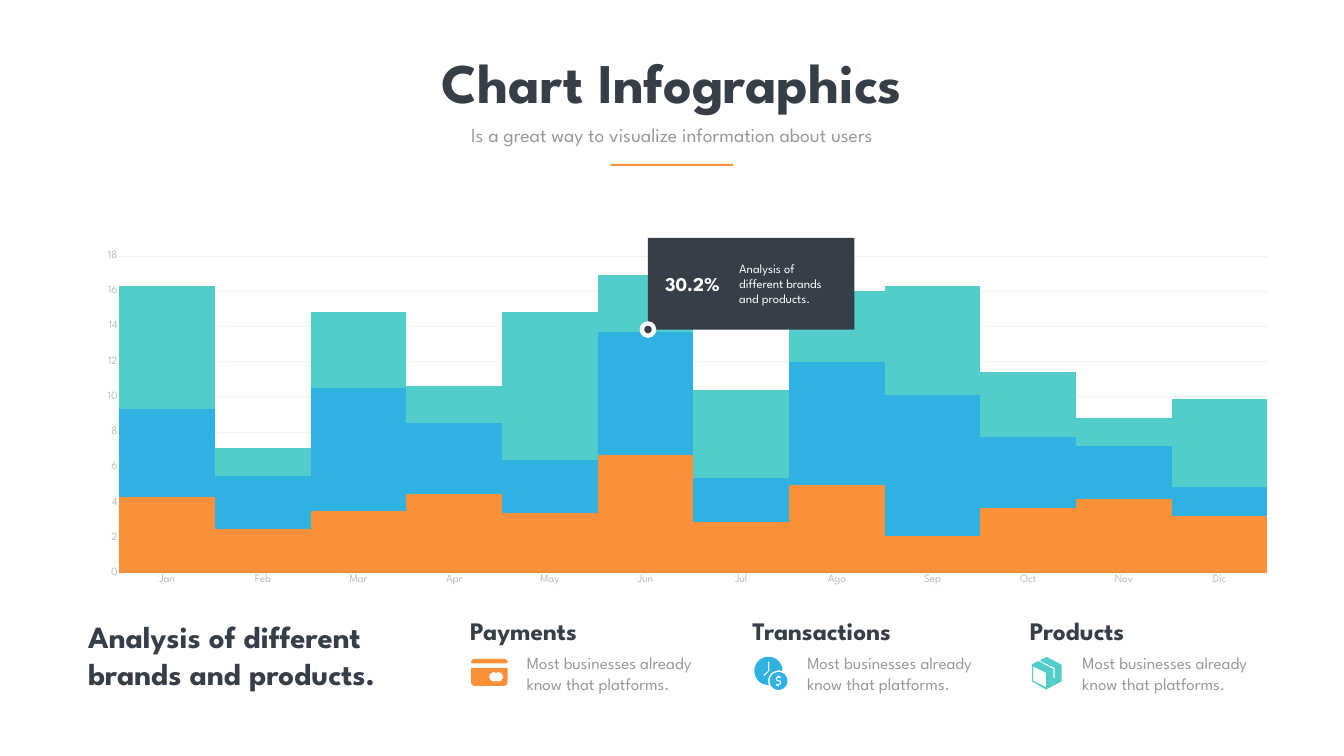
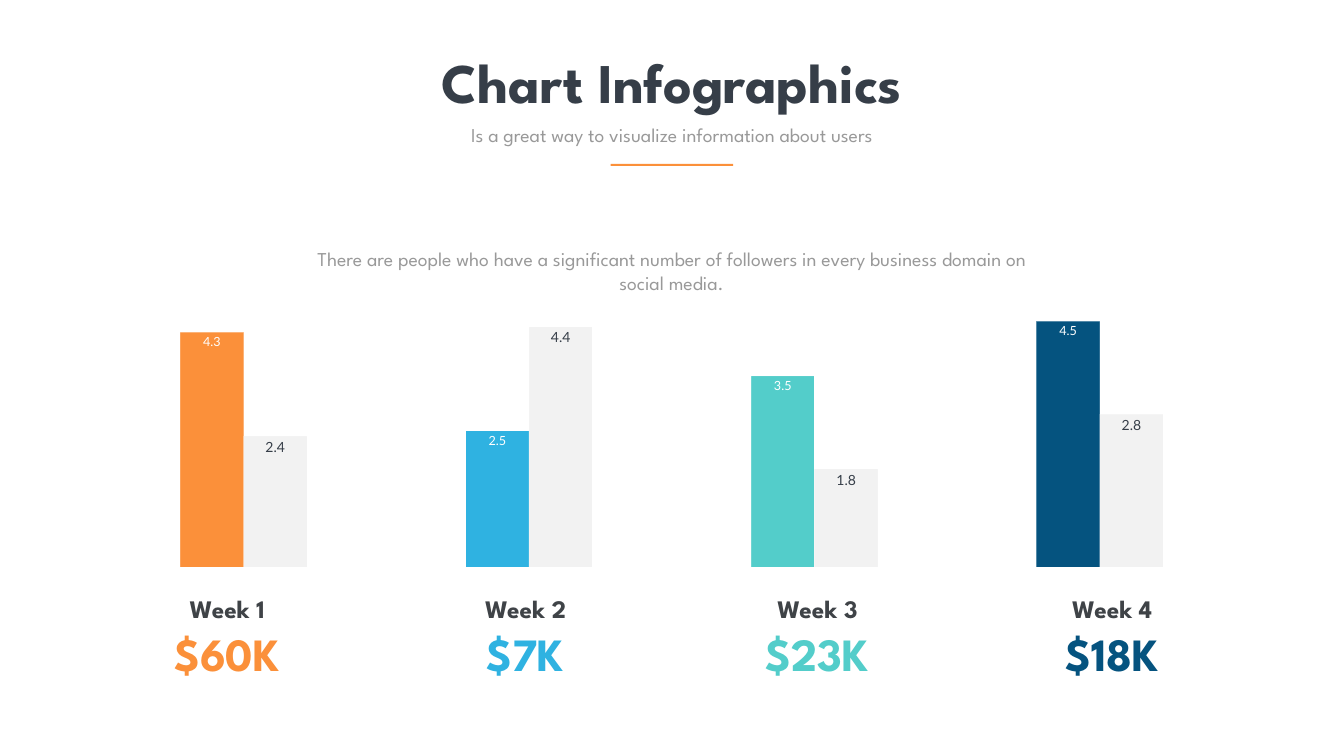
import math

import pptx
import pptx.chart.data
import pptx.dml.color
import pptx.enum.chart
import pptx.enum.shapes
import pptx.enum.text
import pptx.oxml
import pptx.oxml.ns
import pptx.util

Cm, Pt = pptx.util.Cm, pptx.util.Pt
qn = pptx.oxml.ns.qn
SHAPE = pptx.enum.shapes.MSO_SHAPE
CHART = pptx.enum.chart.XL_CHART_TYPE
CENTER = pptx.enum.text.PP_ALIGN.CENTER
MIDDLE = pptx.enum.text.MSO_ANCHOR.MIDDLE
NO_TICK = pptx.enum.chart.XL_TICK_MARK.NONE

COLORS = {
    "ink": "363E48", "week": "3F4347", "gray": "999999", "axis": "BDBDBD",
    "grid": "F0F0F0", "pale": "F2F2F2", "white": "FFFFFF",
    "orange": "FB903A", "blue": "2FB2E1", "teal": "53CDCA", "navy": "05537F",
}
FONT = "League Spartan"


def rgb(name):
    return pptx.dml.color.RGBColor.from_string(COLORS[name])


def set_font(font, size, color, name=FONT, bold=False):
    font.size, font.name, font.bold = Pt(size), name, bold
    font.color.rgb = rgb(color)


def arc(cx, cy, radius, start, end, steps=36):
    """Points along an arc, angles in degrees, clockwise from the right."""
    angles = [math.radians(start + (end - start) * i / steps) for i in range(steps + 1)]
    return [(cx + radius * math.cos(a), cy + radius * math.sin(a)) for a in angles]


# Icon outlines in hundredths of a centimetre: icon > shape > contours
CARD = [
    [[(15, 0), (168, 0), (178, 5), (183, 15), (183, 20), (180, 23),
      (3, 23), (0, 20), (0, 15), (5, 5)]],
    [[(3, 46), (180, 46), (183, 49), (183, 122), (178, 132), (168, 137),
      (15, 137), (5, 132), (0, 122), (0, 49)],
     arc(114, 91, 23, 60, 300) + arc(137, 91, 23, -120, 120)],
]
CLOCK = [
    [arc(71, 71, 71, -4, -270) + arc(122, 122, 53, 159, 288),
     [(51, 97), (45, 94), (46, 91), (69, 71), (69, 25), (72, 23), (76, 25),
      (76, 71), (74, 74)]],
    [arc(122, 122, 45, 0, 360),
     [(119, 117), (122, 117), (132, 120), (137, 130), (134, 138), (124, 142),
      (124, 147), (122, 152), (117, 147), (117, 145), (109, 145), (107, 140),
      (109, 137), (122, 137), (130, 130), (127, 126), (122, 124), (119, 124),
      (110, 120), (107, 112), (110, 103), (117, 99), (117, 94), (122, 91),
      (124, 94), (124, 99), (132, 99), (137, 102), (132, 107), (119, 107),
      (114, 112)]],
]
BOX = [
    [[(145, 36), (76, 0), (71, 0), (43, 13), (43, 20), (112, 53), (114, 58),
      (114, 104), (112, 107), (107, 104), (107, 61), (104, 58), (33, 20),
      (30, 20), (0, 36), (0, 122), (71, 163), (74, 163), (76, 160),
      (145, 124), (149, 122), (149, 41)],
     [(71, 152), (5, 119), (5, 46), (71, 79)]],
]


class Deck:
    def __init__(self):
        self.prs = pptx.Presentation()
        self.prs.slide_width, self.prs.slide_height = Cm(67.74), Cm(38.1)
        self.s = None

    def slide(self):
        """Start a slide with the shared title, subtitle and rule."""
        self.s = self.prs.slides.add_slide(self.prs.slide_layouts[6])
        self.text("Chart Infographics", 17.48, 2.29, 32.79, 3.68,
                  size=80, bold=True, align=CENTER)
        self.text("Is a great way to visualize information about users",
                  21.72, 6.05, 24.28, 1.45, size=28, color="gray", align=CENTER)
        self.shape(SHAPE.RECTANGLE, 30.78, 8.26, 6.17, 0.1, "orange")

    def text(self, text, x, y, w, h, size, color="ink", bold=False, align=None,
             anchor=None, inset=None, spacing=None):
        sp = self.s.shapes.add_textbox(Cm(x), Cm(y), Cm(w), Cm(h))
        tf = sp.text_frame
        tf.word_wrap = True
        tf.auto_size = pptx.enum.text.MSO_AUTO_SIZE.SHAPE_TO_FIT_TEXT
        tf.vertical_anchor = anchor
        if inset is not None:
            tf.margin_left = tf.margin_right = Cm(inset)
            tf.margin_top = tf.margin_bottom = Cm(inset)
        p = tf.paragraphs[0]
        p.alignment, p.line_spacing = align, spacing
        r = p.add_run()
        r.text = text
        set_font(r.font, size, color, bold=bold)

    def paint(self, sp, color):
        sp.shadow.inherit = False
        sp.fill.solid()
        sp.fill.fore_color.rgb = rgb(color)
        sp.line.fill.background()

    def shape(self, kind, x, y, w, h, color):
        self.paint(self.s.shapes.add_shape(kind, Cm(x), Cm(y), Cm(w), Cm(h)), color)

    def icon(self, outlines, x, y, color):
        for contours in outlines:
            fb = self.s.shapes.build_freeform(*contours[0][0], scale=Cm(0.01))
            for i, points in enumerate(contours):
                if i:
                    fb.move_to(*points[0])
                fb.add_line_segments(points[1:], close=True)
            self.paint(fb.convert_to_shape(Cm(x), Cm(y)), color)

    def chart(self, kind, box, categories, series, colors, gap, overlap, top, layout,
              size, font=FONT):
        """Add a column chart; layout is the plot's x, y, w, h as fractions."""
        data = pptx.chart.data.CategoryChartData()
        data.categories = categories
        for i, values in enumerate(series, 1):
            data.add_series(f"Series {i}", values)
        chart = self.s.shapes.add_chart(kind, *map(Cm, box), data).chart
        chart.has_legend = chart.has_title = False
        set_font(chart.font, size, "gray", font)
        plot = chart.plots[0]
        plot.vary_by_categories = False
        plot.gap_width, plot.overlap = gap, overlap
        chart.value_axis.minimum_scale, chart.value_axis.maximum_scale = 0, top
        for ser, color in zip(plot.series, colors):
            ser.format.fill.solid()
            ser.format.fill.fore_color.rgb = rgb(color)

        # Fixed inner plot area
        area = chart._chartSpace.chart.plotArea
        for old in area.findall(qn("c:layout")):
            area.remove(old)
        parts = "".join(f'<c:{k} val="{v}"/>' for k, v in zip("xywh", layout))
        area.insert(0, pptx.oxml.parse_xml(
            f'<c:layout {pptx.oxml.ns.nsdecls("c")}><c:manualLayout>'
            '<c:layoutTarget val="inner"/><c:xMode val="edge"/><c:yMode val="edge"/>'
            f'{parts}</c:manualLayout></c:layout>'))
        return chart


def monthly_slide(deck):
    deck.slide()

    # Stacked monthly columns
    months = "Jan Feb Mar Apr May Jun Jul Ago Sep Oct Nov Dic".split()
    series = [
        (4.3, 2.5, 3.5, 4.5, 3.4, 6.7, 2.9, 5, 2.1, 3.7, 4.2, 3.2),
        (5, 3, 7, 4, 3, 7, 2.5, 7, 8, 4, 3, 1.7),
        (7, 1.6, 4.3, 2.1, 8.4, 3.2, 5, 4, 6.2, 3.7, 1.6, 5),
    ]
    chart = deck.chart(CHART.COLUMN_STACKED, (4.19, 12.32, 60.91, 17.55), months,
                       series, ("orange", "blue", "teal"), gap=0, overlap=100,
                       top=18, layout=(0.03, 0.033, 0.95, 0.91), size=16)
    for axis in (chart.category_axis, chart.value_axis):
        axis.major_tick_mark = axis.minor_tick_mark = NO_TICK
        set_font(axis.tick_labels.font, 16, "axis")
    chart.value_axis.major_unit = 2
    chart.value_axis.has_major_gridlines = True
    chart.value_axis.format.line.fill.background()
    for part in (chart.category_axis, chart.value_axis.major_gridlines):
        part.format.line.color.rgb = rgb("grid")
        part.format.line.width = Pt(0.75)

    # Callout with its marker on the lower left corner
    x, y, w, h = 32.66, 11.99, 10.41, 4.62
    deck.shape(SHAPE.RECTANGLE, x, y, w, h, "ink")
    deck.text("30.2%", 33.27, 13.56, 3.96, 1.45, size=28, color="white", bold=True)
    deck.text("Analysis of different brands and products.",
              37.01, 13.03, 5.44, 2.57, size=18, color="white")
    for d, color in ((0.84, "white"), (0.38, "ink")):
        deck.shape(SHAPE.OVAL, x - d / 2, y + h - d / 2, d, d, color)

    # Headline and legend columns
    deck.text("Analysis of different brands and products.",
              4.19, 30.99, 18.9, 4.01, size=44, bold=True)
    legend = [
        ("Payments", 23.44, 26.31, CARD, 23.75, 33.2, "orange"),
        ("Transactions", 37.67, 40.44, CLOCK, 38.02, 33.1, "blue"),
        ("Products", 51.66, 54.31, BOX, 52.02, 33.12, "teal"),
    ]
    for name, head_x, body_x, outlines, icon_x, icon_y, color in legend:
        deck.icon(outlines, icon_x, icon_y, color)
        deck.text("Most businesses already know that platforms.",
                  body_x, 32.79, 10.59, 2.31, size=24, color="gray")
        deck.text(name, head_x, 30.91, 8.41, 1.8, size=36, bold=True)


def weekly_slide(deck):
    deck.slide()
    weeks = [("$60K", 6.55, "orange"), ("$7K", 21.59, "blue"),
             ("$23K", 36.3, "teal"), ("$18K", 51.16, "navy")]

    # Paired weekly columns
    chart = deck.chart(CHART.COLUMN_CLUSTERED, (3.89, 14.53, 59.94, 14.35),
                       ("1", "2", "3", "4"),
                       [(4.3, 2.5, 3.5, 4.5), (2.4, 4.4, 1.8, 2.8)],
                       ("orange", "pale"), gap=250, overlap=0, top=5,
                       layout=(0.02, 0.02, 0.96, 0.96), size=28, font="Lato")
    chart.value_axis.has_major_gridlines = False
    chart.category_axis.visible = chart.value_axis.visible = False
    main, other = chart.plots[0].series
    points = [main.points[i] for i in range(len(weeks))]
    for point, (_, _, color) in zip(points, weeks):
        point.format.fill.solid()
        point.format.fill.fore_color.rgb = rgb(color)
    for part in (main, other, *points):
        part.format.line.color.rgb = rgb("white")
        part.format.line.width = Pt(0.75)
    for ser, size, color in ((main, 18, "white"), (other, 20, "ink")):
        for clr in ser._element.findall(f".//{qn('a:ln')}//{qn('a:srgbClr')}"):
            clr.append(pptx.oxml.parse_xml(
                f'<a:alpha {pptx.oxml.ns.nsdecls("a")} val="50000"/>'))
        labels = ser.data_labels
        labels.show_value = True
        labels.position = pptx.enum.chart.XL_LABEL_POSITION.INSIDE_END
        set_font(labels.font, size, color, "Lato")

    # Week names and amounts
    style = dict(bold=True, align=CENTER, anchor=MIDDLE, inset=0.15)
    for i, (amount, x, color) in enumerate(weeks, 1):
        deck.text(f"Week {i}", x, 30.15, 9.8, 1.37, size=36, color="week",
                  spacing=0.7, **style)
        deck.text(amount, x, 31.34, 9.8, 3.1, size=66, color=color, **style)

    # Introduction
    deck.text("There are people who have a significant number of followers in every "
              "business domain on social media.",
              15.32, 12.34, 37.06, 2.64, size=28, color="gray", align=CENTER)


def main():
    deck = Deck()
    monthly_slide(deck)
    weekly_slide(deck)
    deck.prs.save("out.pptx")


if __name__ == "__main__":
    main()
